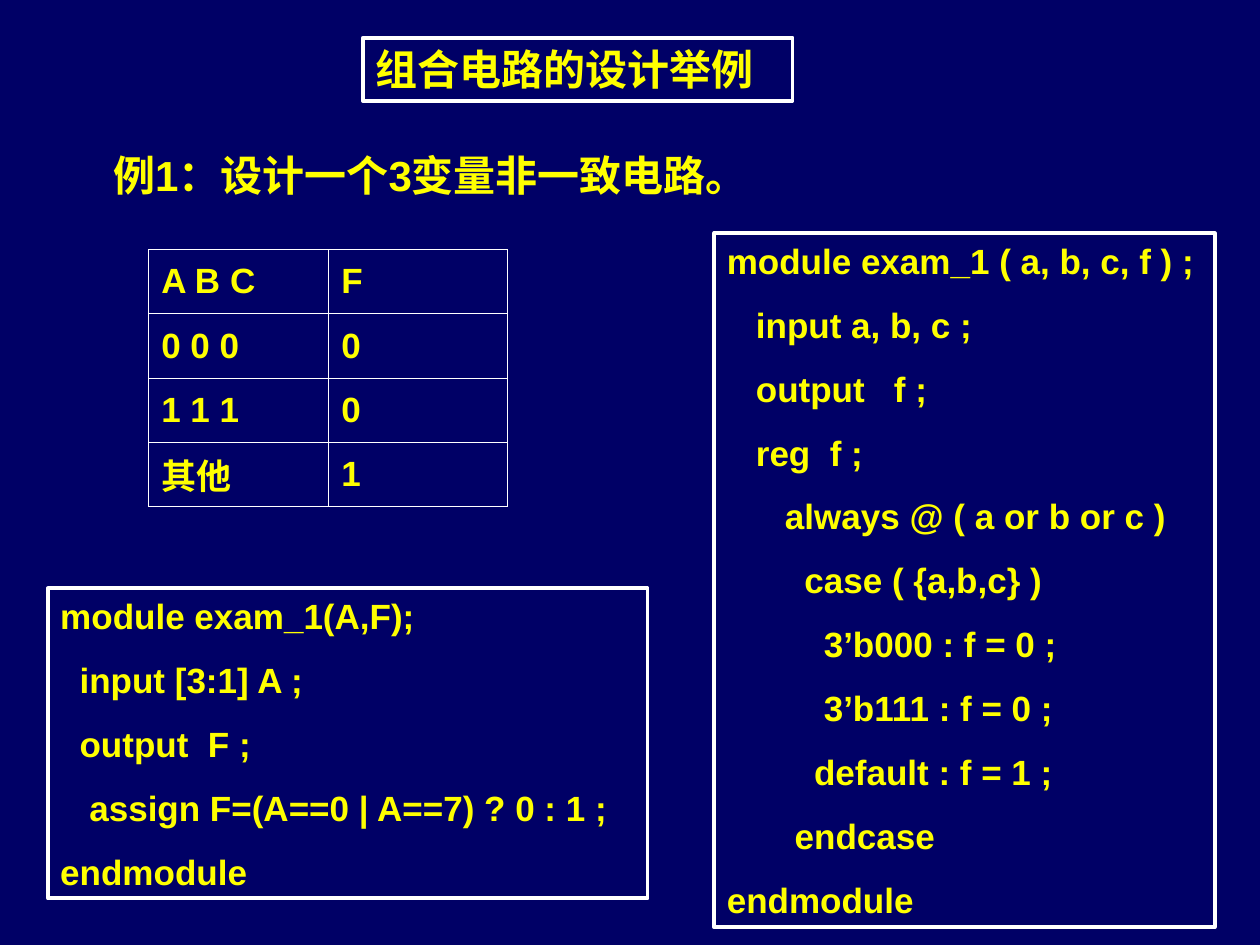
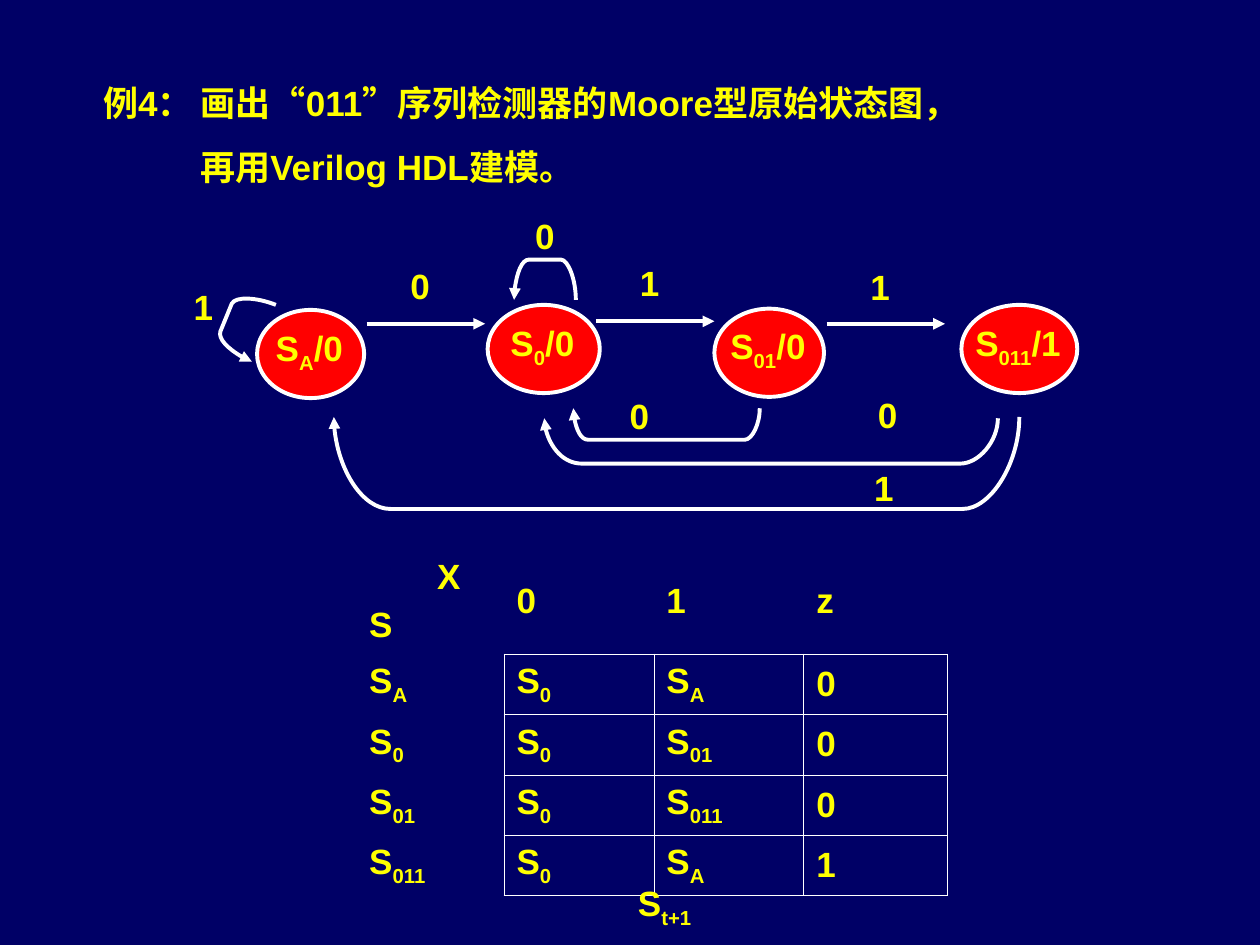
"""Build two slides on designing logic circuits with Verilog HDL."""
from dataclasses import dataclass

from lxml import etree
from pptx import Presentation
from pptx.dml.color import RGBColor
from pptx.enum.shapes import MSO_CONNECTOR, MSO_SHAPE
from pptx.enum.text import MSO_ANCHOR, MSO_AUTO_SIZE, PP_ALIGN
from pptx.oxml.ns import qn
from pptx.util import Inches, Pt

RECTANGLE = MSO_SHAPE.RECTANGLE
OVAL = MSO_SHAPE.OVAL
STRAIGHT = MSO_CONNECTOR.STRAIGHT
MIDDLE = MSO_ANCHOR.MIDDLE
GROW = MSO_AUTO_SIZE.SHAPE_TO_FIT_TEXT
LEFT = PP_ALIGN.LEFT
CENTER = PP_ALIGN.CENTER


@dataclass(frozen=True)
class Theme:
    """Colours, type sizes and line widths shared by the slides."""

    background: str = "000066"
    text: str = "FFFF00"
    line: str = "FFFFFF"
    state: str = "FF0000"
    font: str = "Arial"
    title_size: float = 24
    body_size: float = 20
    title_gap: float = 15
    body_gap: float = 12.5
    cell_gap: float = 5
    line_width: float = 2.25
    border_width: float = 0.45
    space_width: float = 0.077


THEME = Theme()

TRUTH_ROWS = [["A B C", "F"], ["0 0 0", "0"], ["1 1 1", "0"], ["其他", "1"]]

CASE_MODULE = """module exam_1 ( a, b, c, f ) ;
   input a, b, c ;
   output   f ;
   reg  f ;
      always @ ( a or b or c )
        case ( {a,b,c} )
          3’b000 : f = 0 ;
          3’b111 : f = 0 ;
         default : f = 1 ;
       endcase
endmodule"""

ASSIGN_MODULE = """module exam_1(A,F);
  input [3:1] A ;
  output  F ;
   assign F=(A==0 | A==7) ? 0 : 1 ;
endmodule"""

MOORE_TASK = """例4： 画出“011”序列检测器的Moore型原始状态图，
          再用Verilog HDL建模。"""

STATES = [
    ("S~A~/0", 2.04, 2.46, 0.85),
    ("S~0~/0", 3.87, 2.42, 0.89),
    ("S~01~/0", 5.67, 2.45, 0.87),
    ("S~011~/1", 7.63, 2.42, 0.92),
]

FORWARD_ARROWS = [(2.91, 2.57), (4.73, 2.55), (6.56, 2.57)]

ARCS = [
    (7.92, 4.32, 3.32, 0.36, 0.3),
    (8.09, 2.65, 3.31, 0.73, 0.45),
    (6.03, 4.55, 3.24, 0.25, 0.12),
    (4.57, 4.08, 2.38, -0.32, 0.12),
]

START_LOOP = [
    (2.19, 2.42), (2.04, 2.36), (1.87, 2.35), (1.84, 2.41),
    (1.75, 2.63), (1.73, 2.69), (1.85, 2.81), (2, 2.87),
]

INPUT_LABELS = [
    ("0", 2.9, 2.05, 0.87),
    ("1", 4.72, 2.03, 0.87),
    ("1", 6.55, 2.06, 0.87),
    ("0", 6.71, 3.07, 0.67),
    ("1", 6.8, 3.65, 0.43),
    ("0", 4.85, 3.08, 0.45),
    ("1", 1.43, 2.22, 0.37),
    ("0", 4.14, 1.65, 0.37),
]

STATE_ROWS = [
    ["       X\nS", "0", "1", "z"],
    ["S~A~", "S~0~", "S~A~", "0"],
    ["S~0~", "S~0~", "S~01~", "0"],
    ["S~01~", "S~0~", "S~011~", "0"],
    ["S~011~", "S~0~", "S~A~", "1"],
]


def color(value):
    """Turn a hexadecimal value into a colour."""
    return RGBColor.from_string(value)


def write_text(frame, text, size=THEME.body_size, gap=THEME.body_gap, align=LEFT):
    """Write lines, indenting by leading spaces and lowering parts between tildes."""
    for index, line in enumerate(text.split("\n")):
        paragraph = frame.add_paragraph() if index else frame.paragraphs[0]
        paragraph.alignment = align
        paragraph.space_before = Pt(gap)
        content = line.lstrip()
        indent = Inches((len(line) - len(content)) * THEME.space_width)
        if indent:
            paragraph._p.get_or_add_pPr().set("marL", str(indent))
        for part_index, part in enumerate(content.split("~")):
            if not part:
                continue
            run = paragraph.add_run()
            run.text = part
            run.font.name = THEME.font
            run.font.size = Pt(size)
            run.font.bold = True
            run.font.color.rgb = color(THEME.text)
            if part_index % 2:
                run._r.get_or_add_rPr().set("baseline", "-25000")


def add_text(slide, text, left, top, width, height, **text_format):
    """Add a wrapping text box."""
    box = slide.shapes.add_textbox(
        Inches(left), Inches(top), Inches(width), Inches(height))
    box.text_frame.word_wrap = True
    box.text_frame.auto_size = GROW
    write_text(box.text_frame, text, **text_format)


def style_line(shape):
    """Give a shape or connector the shared line."""
    shape.line.color.rgb = color(THEME.line)
    shape.line.width = Pt(THEME.line_width)


def add_outlined(slide, kind, left, top, width, height):
    """Add an unfilled preset shape with the shared outline."""
    shape = slide.shapes.add_shape(
        kind, Inches(left), Inches(top), Inches(width), Inches(height))
    shape.shadow.inherit = False
    shape.fill.background()
    style_line(shape)
    return shape


def add_framed_text(slide, text, left, top, width, height, **text_format):
    """Add text inside an outlined rectangle."""
    frame = add_outlined(slide, RECTANGLE, left, top, width, height).text_frame
    frame.word_wrap = True
    frame.auto_size = GROW
    frame.vertical_anchor = MSO_ANCHOR.TOP
    write_text(frame, text, **text_format)


def add_state(slide, name, left, top, width):
    """Add a red state ellipse with its name."""
    ellipse = add_outlined(slide, OVAL, left, top, width, 0.7)
    ellipse.fill.solid()
    ellipse.fill.fore_color.rgb = color(THEME.state)
    add_text(slide, name, left - 0.07, top + 0.08, width + 0.12, 0.48, align=CENTER)


def add_arrowhead(shape):
    """Put a triangle at the end of a line."""
    line = shape.line._get_or_add_ln()
    etree.SubElement(line, qn("a:tailEnd"), type="triangle")


def add_arrow(slide, left, top, length=0.94):
    """Add a straight arrow pointing right."""
    arrow = slide.shapes.add_connector(
        STRAIGHT, Inches(left), Inches(top), Inches(left + length), Inches(top))
    style_line(arrow)
    add_arrowhead(arrow)
    etree.SubElement(arrow._element.spPr, qn("a:effectLst"))


def add_curved_arrow(slide, points):
    """Draw a curve, a straight part and a curve through eight points."""
    start, *others = [(Inches(x), Inches(y)) for x, y in points]
    builder = slide.shapes.build_freeform(*start)
    builder.add_line_segments(others, close=False)
    shape = builder.convert_to_shape()
    segments = list(shape._element.iter(qn("a:lnTo")))
    for first in (0, 4):
        curve = etree.Element(qn("a:cubicBezTo"))
        segments[first].addprevious(curve)
        for segment in segments[first:first + 3]:
            curve.append(segment[0])
            segment.getparent().remove(segment)
    shape.shadow.inherit = False
    shape.fill.background()
    style_line(shape)
    add_arrowhead(shape)


def arc_points(start, end, y, depth, radius):
    """List the points of a flat arc running leftwards between two states."""
    middle, far = y + depth / 2, y + depth
    return [
        (start, y), (start, middle), (start - radius / 2, far), (start - radius, far),
        (end + radius, far), (end + radius / 2, far), (end, middle), (end, y),
    ]


def add_border(cell, side, visible):
    """Draw or hide one side of a cell."""
    border = etree.SubElement(cell._tc.get_or_add_tcPr(), qn(f"a:ln{side}"))
    border.set("w", str(Pt(THEME.border_width)))
    if visible:
        fill = etree.SubElement(border, qn("a:solidFill"))
        etree.SubElement(fill, qn("a:srgbClr"), val=THEME.line)
    else:
        etree.SubElement(border, qn("a:noFill"))


def add_grid(slide, rows, left, top, widths, heights, first_framed=0):
    """Add a table whose cells are framed from one row and column onwards."""
    table = slide.shapes.add_table(
        len(rows), len(widths), Inches(left), Inches(top),
        Inches(sum(widths)), Inches(sum(heights))).table
    table.first_row = table.horz_banding = False
    for column, width in zip(table.columns, widths):
        column.width = Inches(width)
    for row, height in zip(table.rows, heights):
        row.height = Inches(height)

    def framed(row, column):
        """Tell whether a position has a frame."""
        return (first_framed <= row < len(rows)
                and first_framed <= column < len(widths))

    sides = {"L": (0, -1), "R": (0, 1), "T": (-1, 0), "B": (1, 0)}
    for row, texts in enumerate(rows):
        for column, text in enumerate(texts):
            cell = table.cell(row, column)
            for side, (down, right) in sides.items():
                visible = framed(row, column) or framed(row + down, column + right)
                add_border(cell, side, visible)
            cell.fill.background()
            cell.vertical_anchor = MIDDLE
            write_text(cell.text_frame, text, gap=THEME.cell_gap)


def add_slide(presentation):
    """Add a blank slide with the shared background."""
    slide = presentation.slides.add_slide(presentation.slide_layouts[6])
    slide.background.fill.solid()
    slide.background.fill.fore_color.rgb = color(THEME.background)
    return slide


def build_combinational_slide(presentation):
    """Show a truth table and two modules for a combinational circuit."""
    slide = add_slide(presentation)
    heading = {"size": THEME.title_size, "gap": THEME.title_gap}
    add_framed_text(slide, "组合电路的设计举例", 2.88, 0.3, 3.41, 0.5, **heading)
    add_text(slide, "例1：设计一个3变量非一致电路。", 0.8, 1.14, 5.5, 0.5, **heading)
    add_grid(slide, TRUTH_ROWS, 1.18, 1.98, [1.43, 1.42], [0.51] * 4)
    add_framed_text(slide, CASE_MODULE, 5.67, 1.85, 3.97, 5.51)
    add_framed_text(slide, ASSIGN_MODULE, 0.38, 4.67, 4.76, 2.46)


def build_moore_slide(presentation):
    """Show the state diagram and state table of a sequence detector."""
    slide = add_slide(presentation)
    add_text(slide, MOORE_TASK, 0.72, 0.6, 8.81, 0.94)
    for state in STATES:
        add_state(slide, *state)
    for arrow in FORWARD_ARROWS:
        add_arrow(slide, *arrow)
    for arc in ARCS:
        add_curved_arrow(slide, arc_points(*arc))
    add_curved_arrow(slide, START_LOOP)
    for label in INPUT_LABELS:
        add_text(slide, *label, 0.44, align=CENTER)
    add_grid(slide, STATE_ROWS, 2.83, 4.35, [1.17, 1.19, 1.19, 1.14],
             [0.84] + [0.48] * 4, first_framed=1)
    add_text(slide, "S~t+1~", 4.73, 6.95, 1.09, 0.48, align=CENTER)


def main():
    """Build and save the presentation."""
    presentation = Presentation()
    presentation.slide_width = Inches(10)
    presentation.slide_height = Inches(7.5)
    build_combinational_slide(presentation)
    build_moore_slide(presentation)
    presentation.save("out.pptx")


if __name__ == "__main__":
    main()
